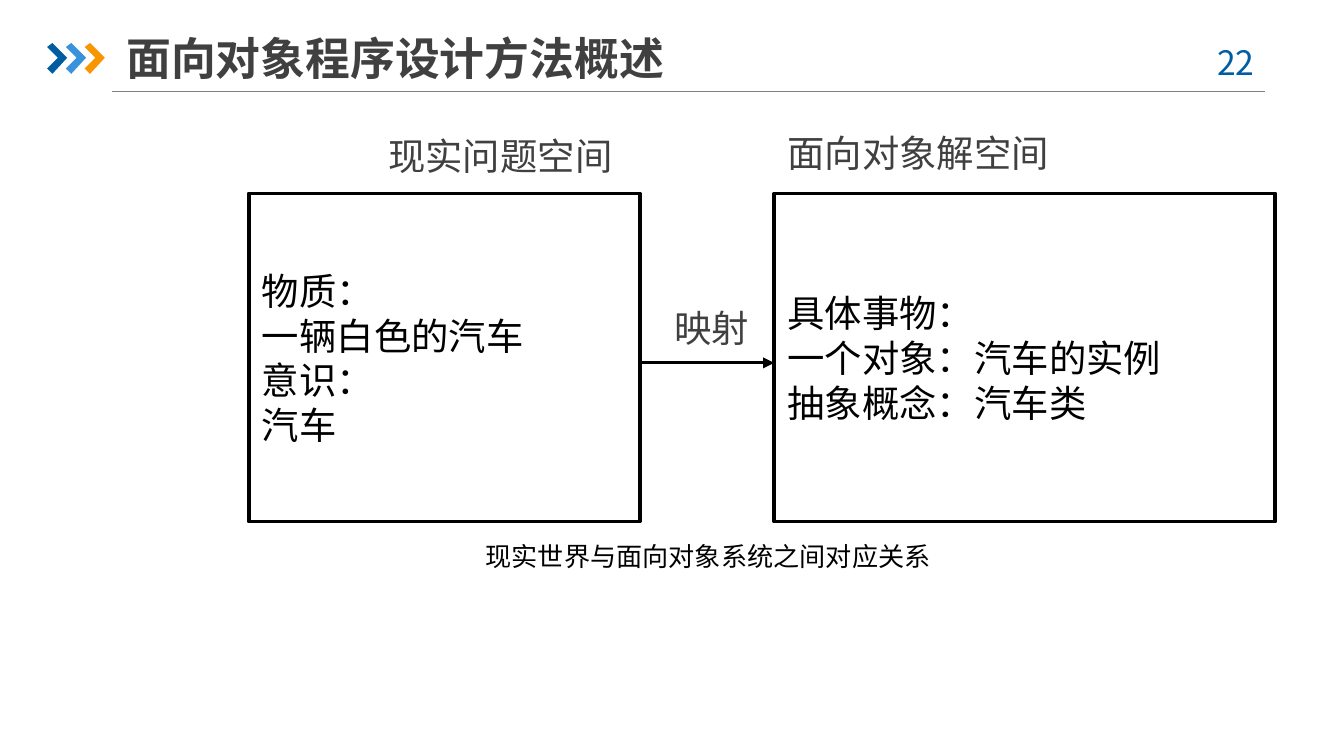
from lxml import etree
from pptx import Presentation
from pptx.dml.color import RGBColor
from pptx.enum import shapes as kinds, text as te
from pptx.oxml import ns
from pptx.util import Inches, Pt

BLACK = RGBColor(0x00, 0x00, 0x00)
DARK = RGBColor(0x40, 0x40, 0x40)
GRAY = RGBColor(0x80, 0x80, 0x80)
NAVY = RGBColor(0x00, 0x5D, 0xA2)
SKY = RGBColor(0x39, 0x92, 0xDB)
ORANGE = RGBColor(0xF7, 0x96, 0x00)
SANS = "Noto Sans CJK SC"
LATIN = "Calibri"
LEFT, CENTER = te.PP_ALIGN.LEFT, te.PP_ALIGN.CENTER
TOP, MIDDLE = te.MSO_ANCHOR.TOP, te.MSO_ANCHOR.MIDDLE

WIDE = Inches(10)
HIGH = WIDE * 9 // 16
TITLE = "面向对象程序设计方法概述"
BOX_TOP, BOX_H = 1.44, 2.44
BOXES = [  # left, width, lines
    (1.85, 2.91, ["物质：", "一辆白色的汽车", "意识：", "汽车"]),
    (5.76, 3.73, ["具体事物：", "一个对象：汽车的实例", "抽象概念：汽车类"]),
]
LABELS = [  # text, (left, top, width, height), size, colour, align, anchor
    ("22 ", (8.86, 0.26, 0.73, 0.4), 18, NAVY, CENTER, TOP),
    ("现实问题空间", (2.79, 0.94, 1.97, 0.44), 20, DARK, LEFT, TOP),
    ("面向对象解空间", (5.76, 0.92, 2.16, 0.44), 20, DARK, LEFT, TOP),
    ("映射", (4.92, 2.22, 1.18, 0.44), 20, DARK, LEFT, TOP),
    ("现实世界与面向对象系统之间对应关系", (2.73, 3.97, 5.08, 0.34), 14, BLACK, CENTER, MIDDLE),
]
CHEVRON = [(0, 0.03), (0.04, 0), (0.15, 0.11), (0.04, 0.23), (0, 0.19), (0.08, 0.11)]
MARKS = [NAVY, SKY, ORANGE]
MARK_LEFT, MARK_TOP, MARK_STEP = 0.35, 0.32, 0.14


def write(shape, lines, size, color, font=SANS, bold=False, align=LEFT, anchor=TOP):
    frame = shape.text_frame
    frame.text = "\n".join(lines)
    form = dict(word_wrap=True, auto_size=te.MSO_AUTO_SIZE.NONE, vertical_anchor=anchor)
    for key, value in form.items():
        setattr(frame, key, value)
    for para in frame.paragraphs:
        para.alignment = align
        for run in para.runs:
            for key, value in dict(name=font, size=Pt(size), bold=bold).items():
                setattr(run.font, key, value)
            run.font.color.rgb = color
            east = etree.SubElement(run.font._element, ns.qn("a:ea"))
            east.set("typeface", SANS)


def add_line(slide, x1, x2, y, color, width, arrow=False):
    line = slide.shapes.add_connector(
        kinds.MSO_CONNECTOR.STRAIGHT, Inches(x1), Inches(y), Inches(x2), Inches(y))
    line.line.color.rgb = color
    line.line.width = Pt(width)
    if arrow:
        tip = etree.SubElement(line.line._get_or_add_ln(), ns.qn("a:tailEnd"))
        tip.set("type", "triangle")
    etree.SubElement(line._element.spPr, ns.qn("a:effectLst"))


def add_mark(slide, left, color):
    points = [(Inches(left + x), Inches(MARK_TOP + y)) for x, y in CHEVRON]
    pen = slide.shapes.build_freeform(*points[0])
    pen.add_line_segments(points[1:], close=True)
    mark = pen.convert_to_shape()
    mark.shadow.inherit = False
    mark.fill.solid()
    mark.fill.fore_color.rgb = color
    mark.line.fill.background()


def add_title(slide):
    title = slide.shapes.title
    place = dict(left=0.94, top=0.22, width=6.24, height=0.42)
    for key, value in place.items():
        setattr(title, key, Inches(value))
    write(title, [TITLE], 24, DARK, bold=True, anchor=MIDDLE)
    title.text_frame.margin_left = title.text_frame.margin_right = 0


def add_box(slide, left, width, lines):
    box = slide.shapes.add_shape(
        kinds.MSO_SHAPE.RECTANGLE, *map(Inches, (left, BOX_TOP, width, BOX_H)))
    box.shadow.inherit = False
    box.fill.background()
    box.line.color.rgb = BLACK
    box.line.width = Pt(2)
    write(box, lines, 20, BLACK, font=LATIN, anchor=MIDDLE)


def main():
    deck = Presentation()
    deck.slide_width, deck.slide_height = WIDE, HIGH
    slide = deck.slides.add_slide(deck.slide_layouts[5])
    add_title(slide)
    add_line(slide, 0.83, 9.41, 0.68, GRAY, 0.75)
    for i, color in enumerate(MARKS):
        add_mark(slide, MARK_LEFT + i * MARK_STEP, color)
    for box in BOXES:
        add_box(slide, *box)
    (left, width, _), (right, _, _) = BOXES
    add_line(slide, left + width, right, 2.7, BLACK, 1.5, arrow=True)
    for words, place, size, color, align, anchor in LABELS:
        label = slide.shapes.add_textbox(*map(Inches, place))
        write(label, [words], size, color, align=align, anchor=anchor)
    deck.save("out.pptx")


if __name__ == "__main__":
    main()
